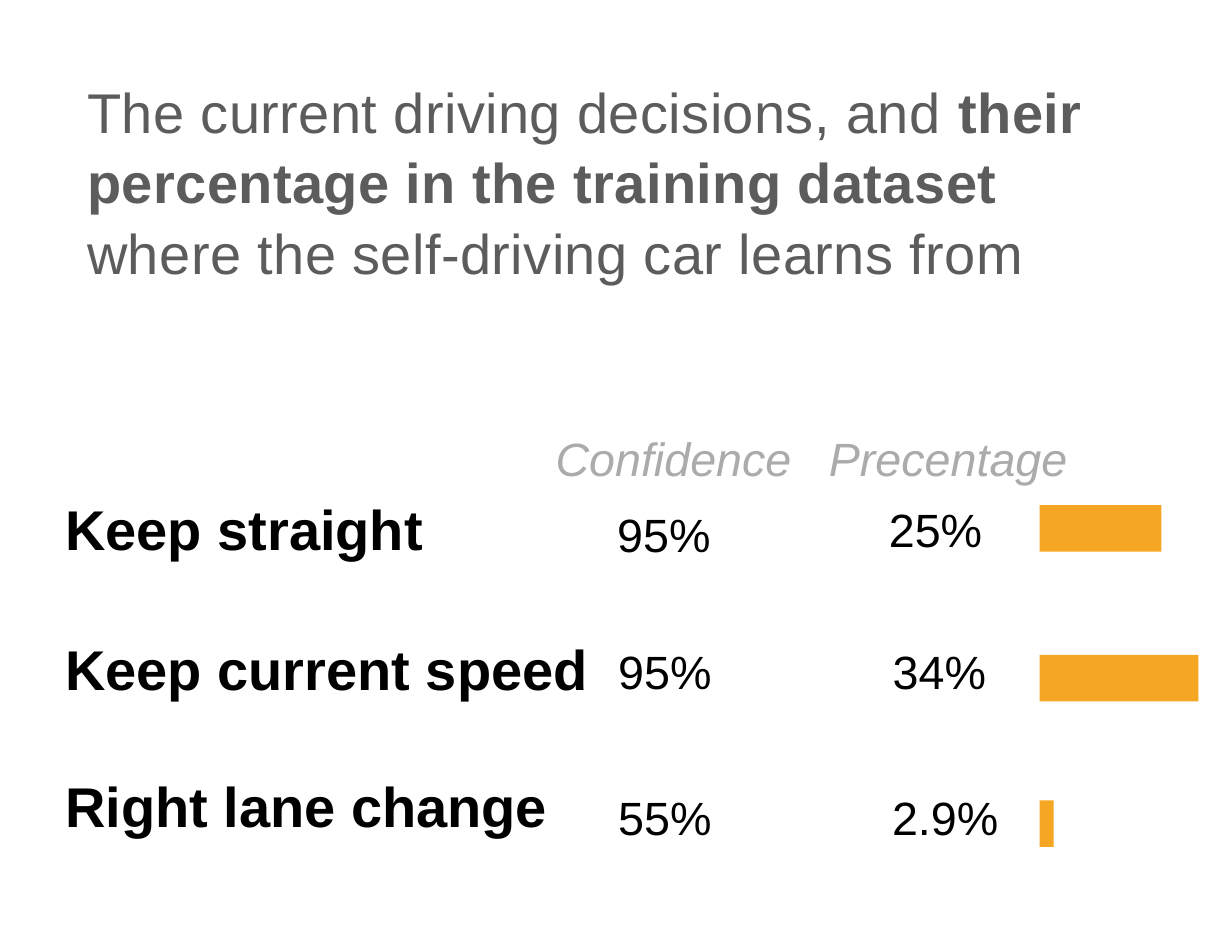
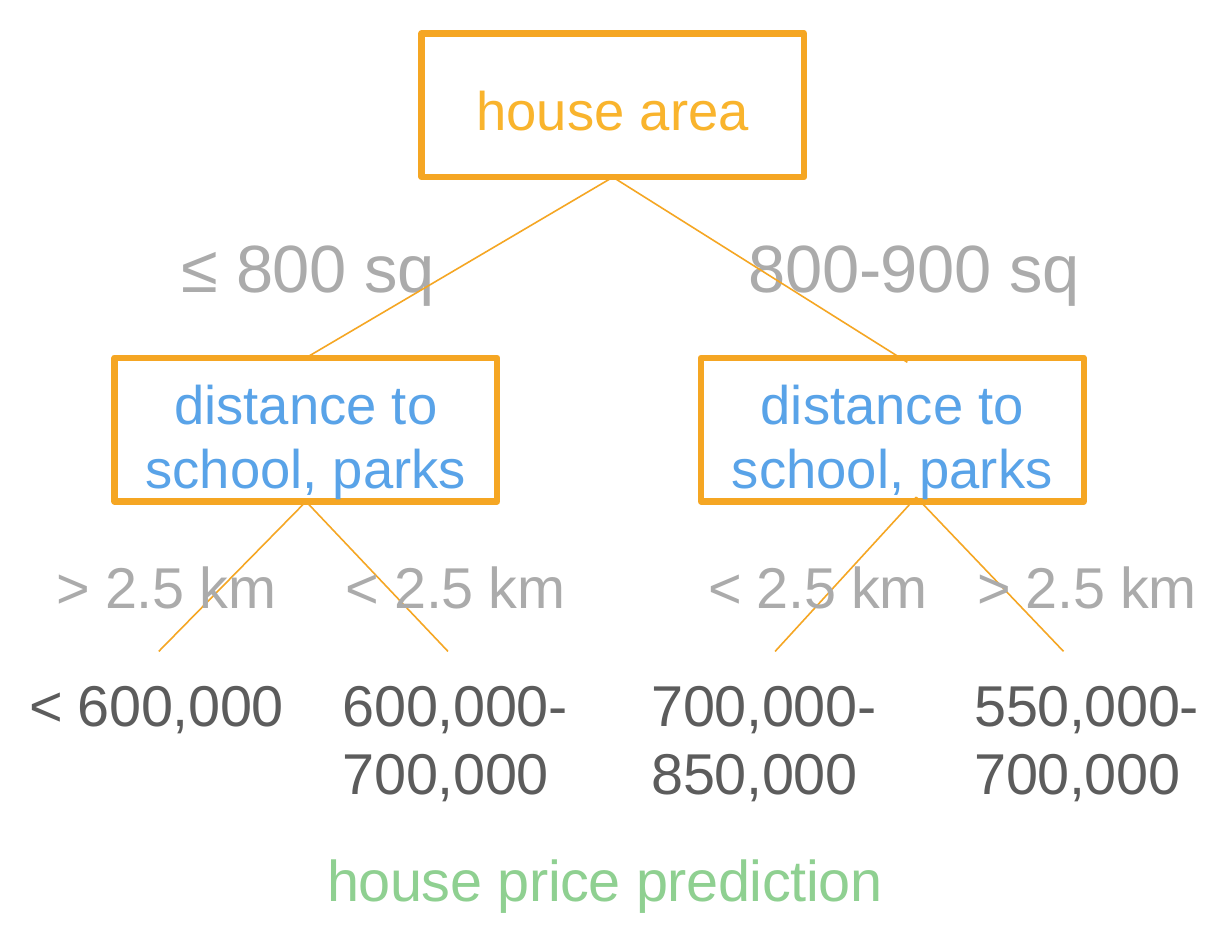
from dataclasses import dataclass
from typing import Optional

from lxml import etree
from pptx import Presentation
from pptx import util as u
from pptx.dml.color import RGBColor
from pptx.enum import shapes, text
from pptx.oxml import ns


@dataclass(frozen=True)
class Theme:
    font: str = "Arial"
    orange: str = "F5A623"
    amber: str = "F9B42D"
    blue: str = "59A3E8"
    green: str = "8FD091"
    dark: str = "5C5C5C"
    grey: str = "ABABAB"
    black: str = "000000"
    heading: float = 18
    value: float = 15
    node: float = 17.5
    area: float = 21.5
    leaf: float = 18.5


THEME = Theme()


@dataclass(frozen=True)
class Style:
    size: float
    color: str
    bold: bool = False
    italic: bool = False
    tracking: int = 0
    line_spacing: Optional[float] = None


TITLE = Style(THEME.heading, THEME.dark, tracking=15, line_spacing=1.05)
DECISION = Style(THEME.heading, THEME.black, bold=True)
VALUE = Style(THEME.value, THEME.black)
HEADER = Style(THEME.value, THEME.grey, italic=True)
ROOT = Style(THEME.node, THEME.amber)
CRITERION = Style(THEME.node, THEME.blue, line_spacing=u.Pt(20.6))
AREA = Style(THEME.area, THEME.grey, tracking=-10)
DISTANCE = Style(THEME.leaf, THEME.grey, tracking=-10)
PRICE = Style(THEME.leaf, THEME.dark, tracking=-10, line_spacing=u.Pt(21.9))
CAPTION = Style(THEME.leaf, THEME.green, tracking=-10)


@dataclass(frozen=True)
class Label:
    words: str
    left: float
    top: float
    width: float
    height: float
    style: Style
    tab: Optional[float] = None


@dataclass(frozen=True)
class Cell:
    words: str
    style: Style
    left: float = 0
    top: float = 0
    right: float = 0
    align: text.PP_ALIGN = text.PP_ALIGN.LEFT


@dataclass(frozen=True)
class Bar:
    top: float
    width: float


@dataclass(frozen=True)
class Node:
    words: str
    left: float
    top: float
    inset: float
    style: Style


@dataclass(frozen=True)
class Branch:
    start: tuple[float, float]
    end: tuple[float, float]
    parent: Optional[int] = None
    child: Optional[int] = None


SHARES_TITLE = Label(
    "The current driving decisions, and *their percentage in the training dataset* "
    "where the self-driving car learns from", 0.99, 0.84, 11.4, 2.3, TITLE)
SHARES_LABELS = [
    Label("Keep straight", 0.74, 5.61, 4.14, 0.75, DECISION),
    Label("Confidence\tPrecentage", 6.3, 4.88, 5.85, 0.65, HEADER, tab=3.1),
    Label("95%", 7, 5.74, 1.2, 0.65, VALUE),
    Label("25%", 10.08, 5.68, 1.2, 0.65, VALUE),
]
RIGHT = text.PP_ALIGN.RIGHT
DECISION_ROWS = [
    [Cell("Keep current speed", DECISION, left=0.08),
     Cell("95%", VALUE, left=0.15, top=0.08),
     Cell("34%", VALUE, top=0.08, right=0.23, align=RIGHT)],
    [Cell("Right lane change", DECISION, left=0.08, top=0.38),
     Cell("55%", VALUE, left=0.15, top=0.57),
     Cell("2.9%", VALUE, top=0.57, right=0.09, align=RIGHT)],
]
COLUMN_WIDTHS = [6.2, 2.24, 2.31]
ROW_HEIGHTS = [1.17, 1.22]
BAR_LEFT, BAR_HEIGHT = 11.79, 0.53
BARS = [Bar(5.73, 1.38), Bar(7.43, 1.8), Bar(9.08, 0.16)]

NODE_WIDTH, NODE_HEIGHT = 4.34, 1.63
NODES = [
    Node("house area", 4.78, 0.38, 0.48, ROOT),
    Node("distance to school, parks", 1.3, 4.06, 0.15, CRITERION),
    Node("distance to school, parks", 7.95, 4.06, 0.15, CRITERION),
]
BRANCHES = [
    Branch((6.95, 2.01), (3.47, 4.06), parent=0, child=1),
    Branch((6.95, 2.01), (10.29, 4.11), parent=0),
    Branch((3.47, 5.69), (1.8, 7.39), parent=1),
    Branch((3.47, 5.69), (5.08, 7.39), parent=1),
    Branch((10.39, 5.64), (8.79, 7.39)),
    Branch((10.39, 5.64), (12.06, 7.39)),
]
AREA_LABEL = Label("≤ 800 sq\t800-900 sq", 2.06, 2.56, 10.4, 0.95, AREA, tab=6.43)
TREE_LABELS = [
    Label("> 2.5 km\t< 2.5 km", 0.64, 6.25, 5.95, 0.8, DISTANCE, tab=3.28),
    Label("< 2.5 km\t> 2.5 km", 8.03, 6.25, 5.75, 0.8, DISTANCE, tab=3.05),
    Label("house price prediction", 3.71, 9.58, 6.6, 0.8, CAPTION),
] + [
    Label(price, left, 7.6, 2.9, 1.6, PRICE)
    for price, left in [("< 600,000", 0.33), ("600,000-\n700,000", 3.89),
                        ("700,000-\n850,000", 7.39), ("550,000-\n700,000", 11.05)]
]


def format_run(run, style: Style, bold: bool) -> None:
    run.font.name = THEME.font
    run.font.size = u.Pt(style.size)
    run.font.bold = bold
    run.font.italic = style.italic
    run.font.color.rgb = RGBColor.from_string(style.color)
    if style.tracking:
        run._r.get_or_add_rPr().set("spc", str(style.tracking))


def write(frame, words: str, style: Style, align=text.PP_ALIGN.LEFT,
          tab: Optional[float] = None) -> None:
    frame.word_wrap = True
    for number, line in enumerate(words.split("\n")):
        paragraph = frame.add_paragraph() if number else frame.paragraphs[0]
        paragraph.alignment = align
        if style.line_spacing:
            paragraph.line_spacing = style.line_spacing
        if tab:
            stops = etree.SubElement(paragraph._p.get_or_add_pPr(), ns.qn("a:tabLst"))
            etree.SubElement(stops, ns.qn("a:tab"), pos=str(u.Cm(tab)), algn="l")
        for part, segment in enumerate(line.split("*")):
            if segment:
                run = paragraph.add_run()
                run.text = segment
                format_run(run, style, style.bold or part % 2 == 1)


def set_margins(target, left: float = 0, top: float = 0, right: float = 0) -> None:
    target.margin_left = u.Cm(left)
    target.margin_top = u.Cm(top)
    target.margin_right = u.Cm(right)
    target.margin_bottom = 0


def add_label(slide, label: Label) -> None:
    frame = slide.shapes.add_textbox(u.Cm(label.left), u.Cm(label.top),
                                     u.Cm(label.width), u.Cm(label.height)).text_frame
    set_margins(frame)
    write(frame, label.words, label.style, tab=label.tab)


def add_rectangle(slide, left: float, top: float, width: float, height: float):
    rectangle = slide.shapes.add_shape(shapes.MSO_SHAPE.RECTANGLE, u.Cm(left), u.Cm(top),
                                       u.Cm(width), u.Cm(height))
    rectangle.shadow.inherit = False
    return rectangle


def add_bar(slide, bar: Bar) -> None:
    rectangle = add_rectangle(slide, BAR_LEFT, bar.top, bar.width, BAR_HEIGHT)
    rectangle.fill.solid()
    rectangle.fill.fore_color.rgb = RGBColor.from_string(THEME.orange)
    rectangle.line.fill.background()


def add_decisions(slide, left: float, top: float) -> None:
    table = slide.shapes.add_table(
        len(ROW_HEIGHTS), len(COLUMN_WIDTHS), u.Cm(left), u.Cm(top),
        u.Cm(sum(COLUMN_WIDTHS)), u.Cm(sum(ROW_HEIGHTS))).table
    table.first_row = False
    table.horz_banding = False
    for column, width in zip(table.columns, COLUMN_WIDTHS):
        column.width = u.Cm(width)
    for row, height, entries in zip(table.rows, ROW_HEIGHTS, DECISION_ROWS):
        row.height = u.Cm(height)
        for cell, entry in zip(row.cells, entries):
            cell.fill.background()
            set_margins(cell, entry.left, entry.top, entry.right)
            write(cell.text_frame, entry.words, entry.style, entry.align)


def add_node(slide, node: Node):
    rectangle = add_rectangle(slide, node.left, node.top, NODE_WIDTH, NODE_HEIGHT)
    rectangle.fill.background()
    rectangle.line.color.rgb = RGBColor.from_string(THEME.orange)
    rectangle.line.width = u.Pt(2)
    frame = rectangle.text_frame
    frame.vertical_anchor = text.MSO_ANCHOR.TOP
    set_margins(frame, top=node.inset)
    write(frame, node.words, node.style, text.PP_ALIGN.CENTER)
    return rectangle


def add_branch(slide, branch: Branch, nodes: list) -> None:
    line = slide.shapes.add_connector(
        shapes.MSO_CONNECTOR.STRAIGHT, *map(u.Cm, branch.start + branch.end))
    line.line.color.rgb = RGBColor.from_string(THEME.orange)
    line.line.width = u.Pt(0.5)
    etree.SubElement(line._element.spPr, ns.qn("a:effectLst"))
    if branch.parent is not None:
        line.begin_connect(nodes[branch.parent], 2)
    if branch.child is not None:
        line.end_connect(nodes[branch.child], 0)


def build_shares(slide) -> None:
    add_label(slide, SHARES_TITLE)
    add_decisions(slide, 0.66, 7.26)
    for label in SHARES_LABELS:
        add_label(slide, label)
    for bar in BARS:
        add_bar(slide, bar)


def build_tree(slide) -> None:
    nodes = [add_node(slide, node) for node in NODES]
    add_label(slide, AREA_LABEL)
    for branch in BRANCHES:
        add_branch(slide, branch, nodes)
    for label in TREE_LABELS:
        add_label(slide, label)


def main() -> None:
    deck = Presentation()
    deck.slide_width, deck.slide_height = u.Cm(13.97), u.Cm(10.8)
    blank = deck.slide_layouts[6]
    for build in (build_shares, build_tree):
        build(deck.slides.add_slide(blank))
    deck.save("out.pptx")


if __name__ == "__main__":
    main()
